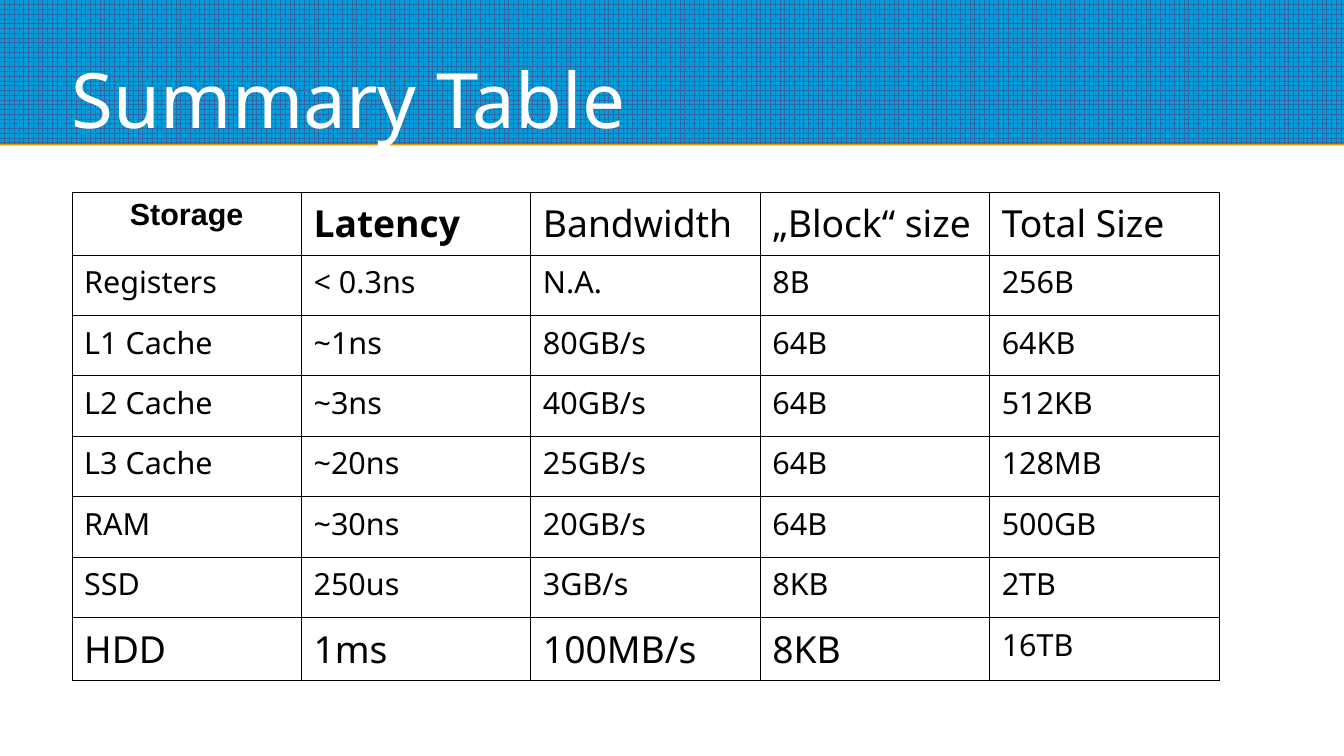
from dataclasses import dataclass

from lxml import etree
from pptx import Presentation, util as u
from pptx.dml.color import RGBColor
from pptx.enum import dml, shapes, text
from pptx.oxml import parse_xml
from pptx.oxml.ns import nsdecls, qn

PX = 914400 / 122  # EMU per px


@dataclass(frozen=True)
class Theme:
    sky: str = "009EDA"
    grid: str = "3465A4"
    edge: str = "F49100"
    ink: str = "000000"
    white: str = "FFFFFF"
    face: str = "Noto Sans"
    alt: str = "Arial"
    title: int = 45
    large: int = 22
    body: int = 18
    rule: float = 0.57


def emu(px):
    return u.Emu(round(px * PX))


def write(frame, words, *, size, color, face, bold=False, align=text.PP_ALIGN.LEFT):
    para = frame.paragraphs[0]
    para.alignment = align
    run = para.add_run()
    run.text = words
    font = run.font
    font.size, font.name, font.bold = u.Pt(size), face, bold
    font.color.rgb = RGBColor.from_string(color)


class Deck:
    def __init__(self, theme, wide, high):
        self.theme = theme
        self.prs = Presentation()
        self.prs.slide_width, self.prs.slide_height = emu(wide), emu(high)
        self.slide = self.prs.slides.add_slide(self.prs.slide_layouts[6])

    def band(self, *box):
        t = self.theme
        bar = self.slide.shapes.add_shape(shapes.MSO_SHAPE.RECTANGLE, *map(emu, box))
        bar.line.fill.background()
        bar.fill.patterned()
        bar.fill.pattern = dml.MSO_PATTERN.LARGE_GRID
        bar.fill.fore_color.rgb = RGBColor.from_string(t.grid)
        bar.fill.back_color.rgb = RGBColor.from_string(t.sky)
        # Orange edge: a hard shadow straight down
        bar.shadow.inherit = False
        glow = bar.fill._xPr.find(qn("a:effectLst"))
        glow.append(parse_xml(
            f'<a:outerShdw {nsdecls("a")} blurRad="0" dist="{u.Pt(0.9)}" dir="5400000">'
            f'<a:srgbClr val="{t.edge}"/></a:outerShdw>'))

    def title(self, words, *box):
        t = self.theme
        frame = self.slide.shapes.add_textbox(*map(emu, box)).text_frame
        frame.word_wrap = True
        frame.vertical_anchor = text.MSO_ANCHOR.BOTTOM
        frame.margin_left = frame.margin_right = 0
        frame.margin_top = frame.margin_bottom = 0
        write(frame, words, size=t.title, color=t.white, face=t.face)

    def border(self, cell):
        t = self.theme
        props = cell._tc.get_or_add_tcPr()
        for spot, side in enumerate("LRTB"):
            line = etree.Element(qn(f"a:ln{side}"), w=str(u.Pt(t.rule)))
            fill = etree.SubElement(line, qn("a:solidFill"))
            etree.SubElement(fill, qn("a:srgbClr"), val=t.ink)
            props.insert(spot, line)

    def table(self, rows, style, ends, *box):
        left, top, wide, high = box
        count, cols = len(rows), len(rows[0])
        grid = self.slide.shapes.add_table(count, cols, *map(emu, box)).table
        grid.first_row = grid.horz_banding = False
        for col in grid.columns:
            col.width = emu(wide / cols)
        # First and last rows are taller; the rest share what is left
        for r, row in enumerate(grid.rows):
            row.height = emu(ends if r in (0, count - 1) else (high - 2 * ends) / (count - 2))
        for r, row in enumerate(rows):
            for c, words in enumerate(row):
                cell = grid.cell(r, c)
                cell.fill.background()
                self.border(cell)
                write(cell.text_frame, words, **style(r, c))


def main():
    theme = Theme()
    rows = [
        ("Storage", "Latency", "Bandwidth", "„Block“ size", "Total Size"),
        ("Registers", "< 0.3ns", "N.A.", "8B", "256B"),
        ("L1 Cache", "~1ns", "80GB/s", "64B", "64KB"),
        ("L2 Cache", "~3ns", "40GB/s", "64B", "512KB"),
        ("L3 Cache", "~20ns", "25GB/s", "64B", "128MB"),
        ("RAM", "~30ns", "20GB/s", "64B", "500GB"),
        ("SSD", "250us", "3GB/s", "8KB", "2TB"),
        ("HDD", "1ms", "100MB/s", "8KB", "16TB"),
    ]
    last = (len(rows) - 1, len(rows[0]) - 1)

    def style(r, c):
        look = dict(size=theme.body, color=theme.ink, face=theme.face)
        if (r, c) == (0, 0):
            look.update(face=theme.alt, align=text.PP_ALIGN.CENTER)
        elif r in (0, last[0]) and (r, c) != last:
            look["size"] = theme.large
        look["bold"] = r == 0 and c < 2
        return look

    deck = Deck(theme, 1344, 756)

    # Header
    deck.band(0, 0, 1344, 144)
    deck.title("Summary Table", 72, 12, 1200, 132)

    # Storage table
    deck.table(rows, style, 63, 72, 192, 1147, 489)

    deck.prs.save("out.pptx")


if __name__ == "__main__":
    main()
